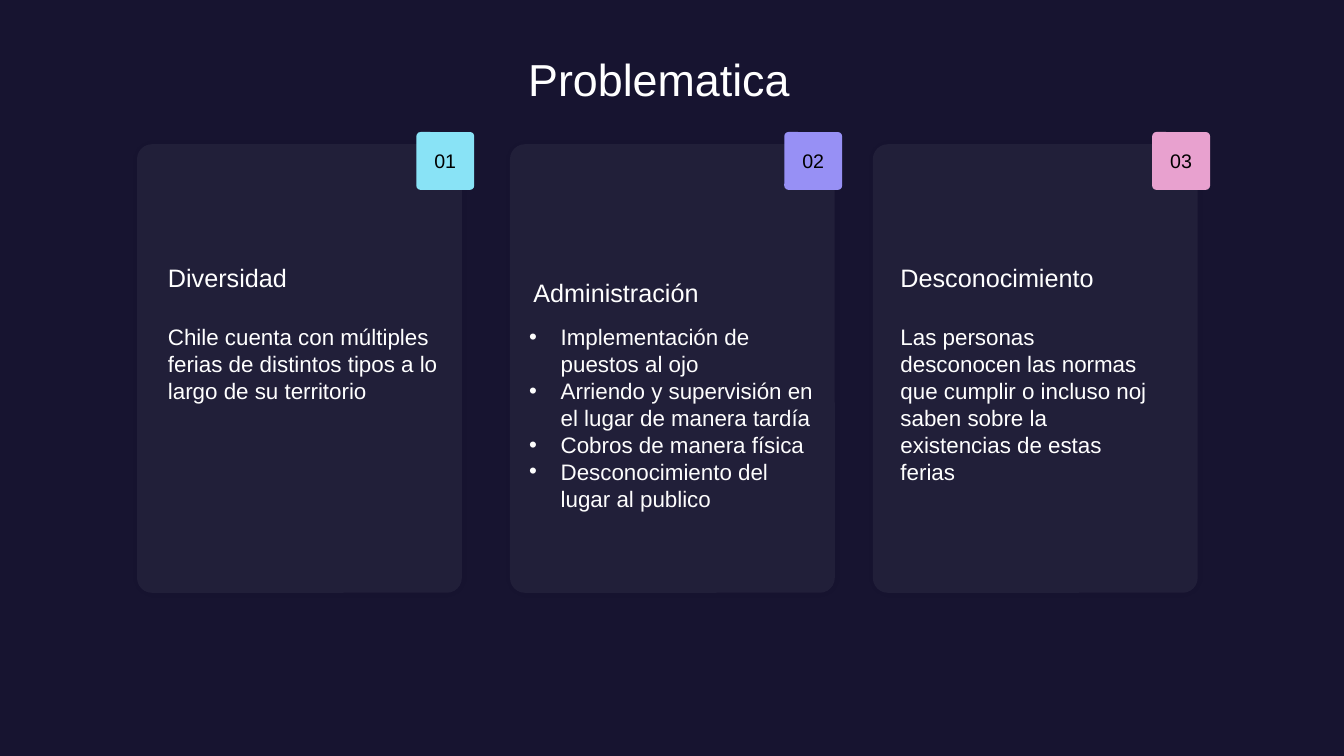
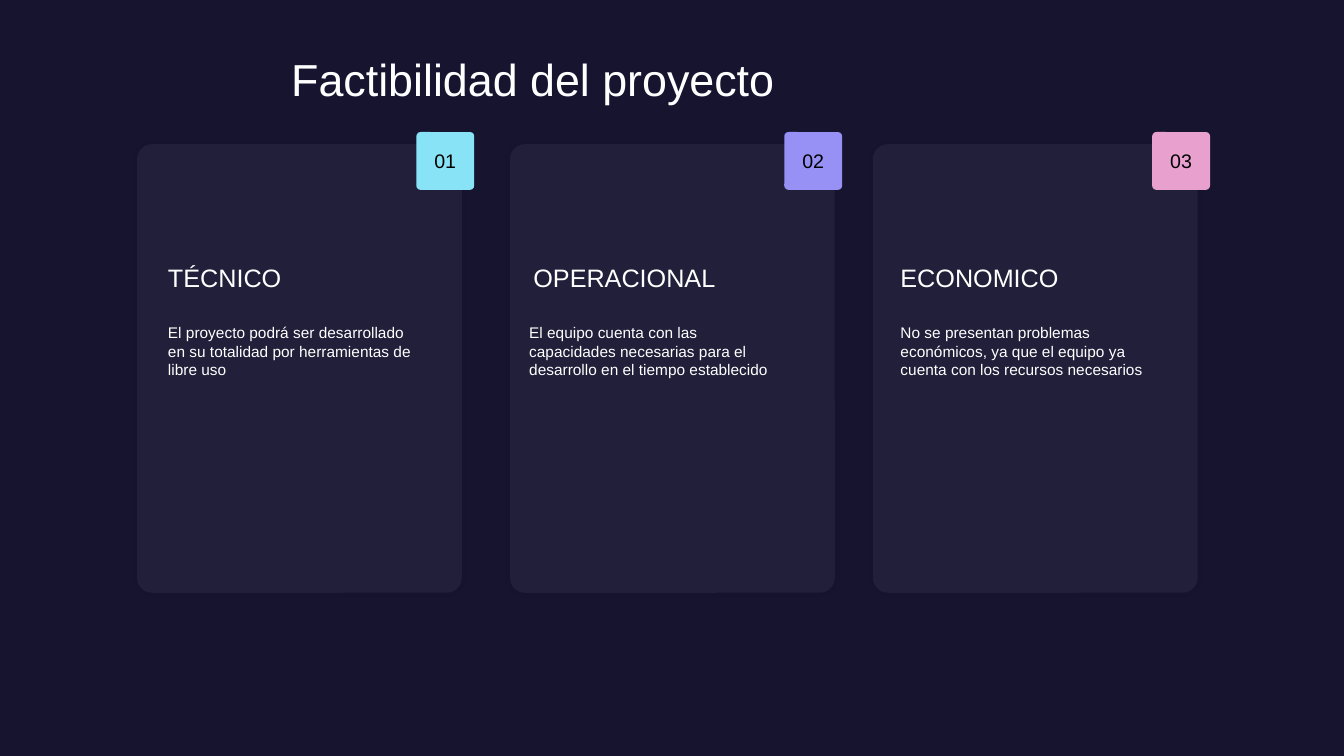
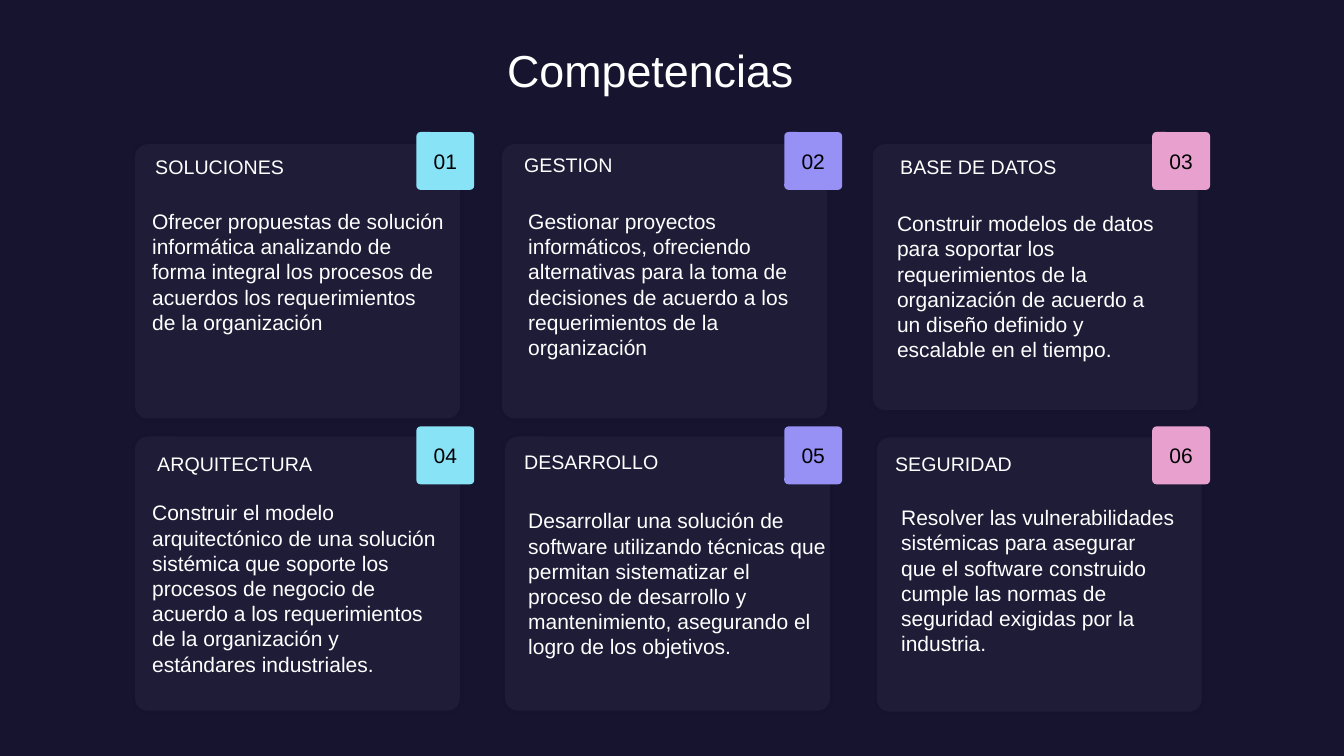
from dataclasses import dataclass

from lxml import etree
from pptx import Presentation
from pptx.dml.color import RGBColor
from pptx.enum.shapes import MSO_SHAPE
from pptx.enum.text import MSO_ANCHOR, MSO_AUTO_SIZE, PP_ALIGN
from pptx.oxml.ns import qn
from pptx.util import Pt

ROUNDED = MSO_SHAPE.ROUNDED_RECTANGLE
TOP, MIDDLE = MSO_ANCHOR.TOP, MSO_ANCHOR.MIDDLE
GROW, FIXED = MSO_AUTO_SIZE.SHAPE_TO_FIT_TEXT, MSO_AUTO_SIZE.NONE
LEFT, CENTER = PP_ALIGN.LEFT, PP_ALIGN.CENTER


@dataclass(frozen=True)
class Theme:
    font: str = "Arial"
    background: RGBColor = RGBColor(0x17, 0x14, 0x30)
    text: RGBColor = RGBColor(0xFF, 0xFF, 0xFF)
    badge_text: RGBColor = RGBColor(0, 0, 0)
    badges: tuple = (RGBColor(0x89, 0xE3, 0xF6), RGBColor(0x97, 0x90, 0xF5),
                     RGBColor(0xE8, 0xA1, 0xCF))
    title_size: int = 32


THEME = Theme()
CARD_W, BADGE = 232, 41.3
BADGE_X, BADGE_STEP = 297.4, 262.8
BULLET_INDENT = 22.5

# Tall cards share their columns; each column is (card x, heading x, heading width, body x).
TALL_COLUMNS = [(97.9, 120, 176, 120), (364.3, 381, 181, 378), (623.5, 643.2, 197, 643.2)]


def write(sp, lines, size, color=THEME.text, align=LEFT, anchor=TOP, inset=3.6,
          auto_size=GROW, spacing=None, bullets=False):
    """Fill a shape with one paragraph per line, in the theme font."""
    tf = sp.text_frame
    frame = {"word_wrap": True, "auto_size": auto_size, "vertical_anchor": anchor,
             "margin_left": 0, "margin_right": 0,
             "margin_top": Pt(inset), "margin_bottom": Pt(inset)}
    for name, value in frame.items():
        setattr(tf, name, value)
    for i, line in enumerate(lines):
        p = tf.add_paragraph() if i else tf.paragraphs[0]
        p.alignment, p.space_before, p.line_spacing = align, Pt(0), spacing
        r = p.add_run()
        r.text = line
        r.font.name, r.font.size, r.font.color.rgb = THEME.font, Pt(size), color
        if bullets:
            pPr = p._p.get_or_add_pPr()
            pPr.set("marL", str(Pt(BULLET_INDENT)))
            pPr.set("indent", str(-Pt(BULLET_INDENT)))
            etree.SubElement(pPr, qn("a:buFont"), typeface=THEME.font)
            etree.SubElement(pPr, qn("a:buChar"), char="•")


def rounded(s, box, radius, color):
    sp = s.shapes.add_shape(ROUNDED, *map(Pt, box))
    sp.adjustments[0] = radius
    sp.fill.solid()
    sp.fill.fore_color.rgb = color
    sp.line.fill.background()
    sp.shadow.inherit = False
    return sp


# Tall cards: heading, body lines, body width, body height, heading line spacing.
problems = [
    ("Diversidad",
     ["Chile cuenta con múltiples ferias de distintos tipos a lo largo de su territorio"],
     196, 65.5, None),
    ("Administración",
     ["Implementación de puestos al ojo",
      "Arriendo y supervisión en el lugar de manera tardía",
      "Cobros de manera física",
      "Desconocimiento del lugar al publico"],
     204, 143.3, 1.5),
    ("Desconocimiento",
     ["Las personas desconocen las normas que cumplir o incluso noj saben sobre la "
      "existencias de estas ferias"],
     181.4, 85, None),
]
feasibility = [
    ("TÉCNICO",
     ["El proyecto podrá ser desarrollado en su totalidad por herramientas de libre uso"],
     181.4, 47.5, None),
    ("OPERACIONAL",
     ["El equipo cuenta con las capacidades necesarias para el desarrollo en el tiempo "
      "establecido"],
     181.4, 47.5, None),
    ("ECONOMICO",
     ["No se presentan problemas económicos, ya que el equipo ya cuenta con los recursos "
      "necesarios"],
     181.4, 47.5, None),
]

# Short cards: card box, heading, heading x and y, body, body box.
skills = [
    ((96.5, 103, CARD_W, 195.8), "SOLUCIONES", (110.9, 107.3),
     "Ofrecer propuestas de solución informática analizando de forma integral los procesos "
     "de acuerdos los requerimientos de la organización", (108.7, 145.4, 208.8, 98)),
    ((358.6, 103, CARD_W, 195.8), "GESTION", (374.4, 106),
     "Gestionar proyectos informáticos, ofreciendo alternativas para la toma de decisiones "
     "de acuerdo a los requerimientos de la organización", (377.3, 145.4, 215.3, 116.6)),
    ((623.5, 103, CARD_W, 190), "BASE DE DATOS", (643, 107.3),
     "Construir modelos de datos para soportar los requerimientos de la organización de "
     "acuerdo a un diseño definido y escalable en el tiempo.", (640.8, 147, 196.6, 116.6)),
    ((96.5, 311.8, CARD_W, 195.8), "ARQUITECTURA", (112.3, 319),
     "Construir el modelo arquitectónico de una solución sistémica que soporte los procesos "
     "de negocio de acuerdo a los requerimientos de la organización y estándares "
     "industriales.", (108.7, 353.5, 208.8, 134.6)),
    ((360.9, 311.8, CARD_W, 195.8), "DESARROLLO", (374.4, 317.5),
     "Desarrollar una solución de software utilizando técnicas que permitan sistematizar el "
     "proceso de desarrollo y mantenimiento, asegurando el logro de los objetivos.",
     (377.3, 359.3, 215.3, 116.6)),
    ((626.4, 312.5, CARD_W, 195.8), "SEGURIDAD", (639.4, 319),
     "Resolver las vulnerabilidades sistémicas para asegurar que el software construido "
     "cumple las normas de seguridad exigidas por la industria.",
     (643.7, 357, 196.6, 116.6)),
]

# Every card becomes: card box, heading, heading box, heading spacing, body lines, body box.
tall_decks = [
    [((card_x, 103, CARD_W, 320.4), heading, (head_x, 183.6, head_w, 29), spacing,
      lines, (body_x, 227.5, body_w, body_h))
     for (card_x, head_x, head_w, body_x), (heading, lines, body_w, body_h, spacing)
     in zip(TALL_COLUMNS, content)]
    for content in (problems, feasibility)
]
short_cards = [(box, heading, (*head_at, 215.3, 24.3), None, [body], body_box)
               for box, heading, head_at, body, body_box in skills]

# Title, title box, card opacity in %, sizes of badge, heading and body text, cards.
slides = [
    ("Problematica", (377.3, 33, 341.3, 46), 5, (14, 18, 16), tall_decks[0]),
    ("Factibilidad del proyecto", (208, 33, 632.2, 46), 5, (14, 18, 11), tall_decks[1]),
    ("Competencias", (362.2, 26.6, 235.4, 46), 4, (15, 14, 15), short_cards),
]

prs = Presentation()
prs.slide_width, prs.slide_height = Pt(960), Pt(540)
background = prs.slide_master.background.fill
background.solid()
background.fore_color.rgb = THEME.background
LIST_LAYOUT, TITLE_LAYOUT = prs.slide_layouts[1], prs.slide_layouts[5]

for title, title_box, opacity, (badge_size, heading_size, body_size), cards in slides:
    has_list = any(len(lines) > 1 for *_, lines, _ in cards)
    s = prs.slides.add_slide(LIST_LAYOUT if has_list else TITLE_LAYOUT)
    sp = s.shapes.title
    sp.left, sp.top, sp.width, sp.height = map(Pt, title_box)
    write(sp, [title], THEME.title_size)

    for i, (box, heading, heading_box, spacing, lines, body_box) in enumerate(cards):
        row, column = divmod(i, 3)
        sp = rounded(s, box, 0.046, THEME.text)
        spPr = sp._element.spPr
        fill_color = spPr.find(qn("a:solidFill")).find(qn("a:srgbClr"))
        etree.SubElement(fill_color, qn("a:alpha"), val=str(opacity * 1000))
        shadow = etree.SubElement(spPr.find(qn("a:effectLst")), qn("a:outerShdw"),
                                  blurRad=str(Pt(7)), dist="0", dir="0")
        shadow_color = etree.SubElement(shadow, qn("a:srgbClr"), val="000000")
        etree.SubElement(shadow_color, qn("a:alpha"), val="20000")

        badge_box = (BADGE_X + column * BADGE_STEP, 94.3 + row * 210.3, BADGE, BADGE)
        sp = rounded(s, badge_box, 0.072, THEME.badges[column])
        write(sp, [f"{i + 1:02}"], badge_size, THEME.badge_text, CENTER, MIDDLE, 0, FIXED)

        sp = s.shapes.add_textbox(*map(Pt, heading_box))
        write(sp, [heading], heading_size, spacing=spacing)

        is_list = len(lines) > 1
        if is_list:
            sp = s.placeholders[1]
            sp.left, sp.top, sp.width, sp.height = map(Pt, body_box)
        else:
            sp = s.shapes.add_textbox(*map(Pt, body_box))
        write(sp, lines, body_size, bullets=is_list)

prs.save("out.pptx")
